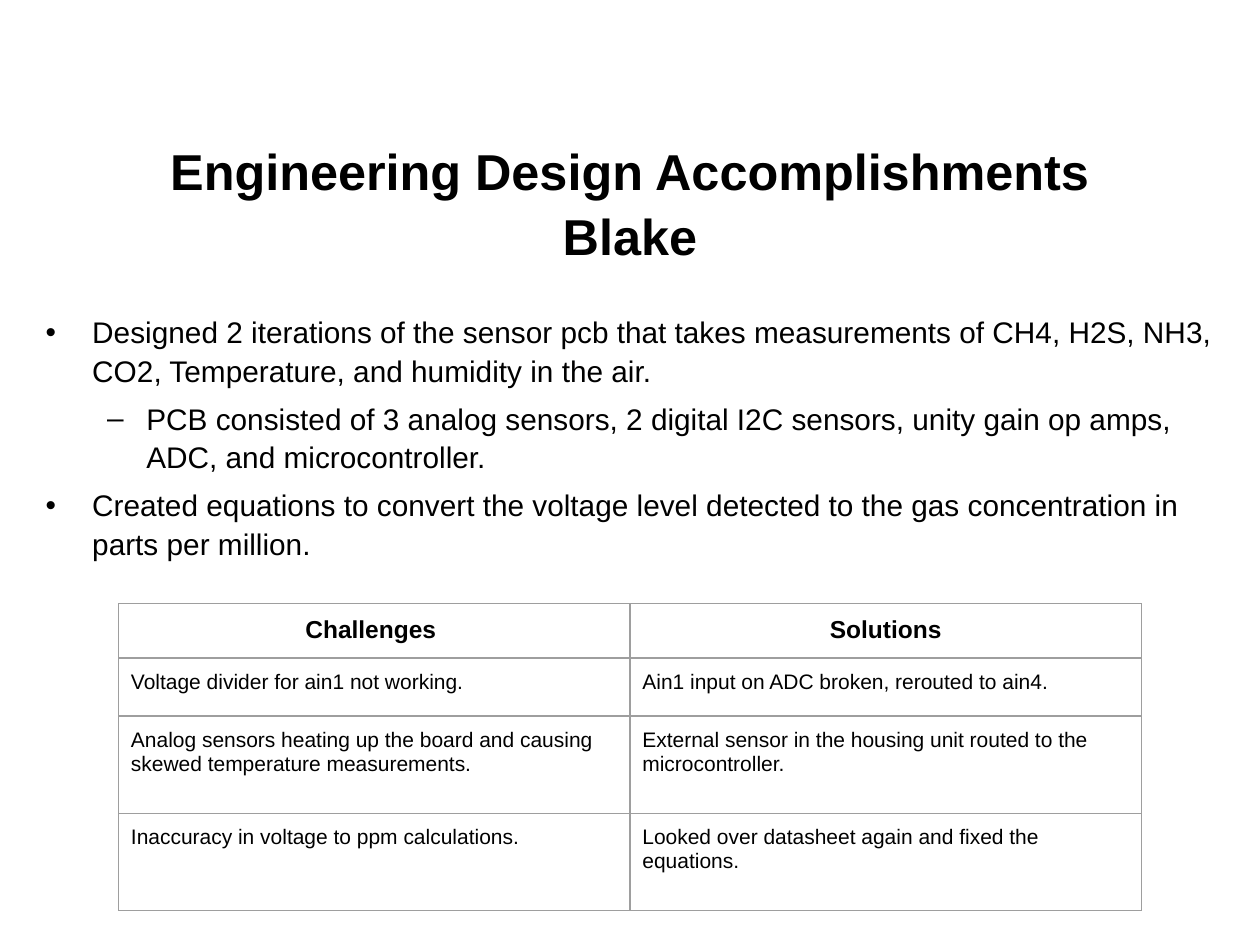
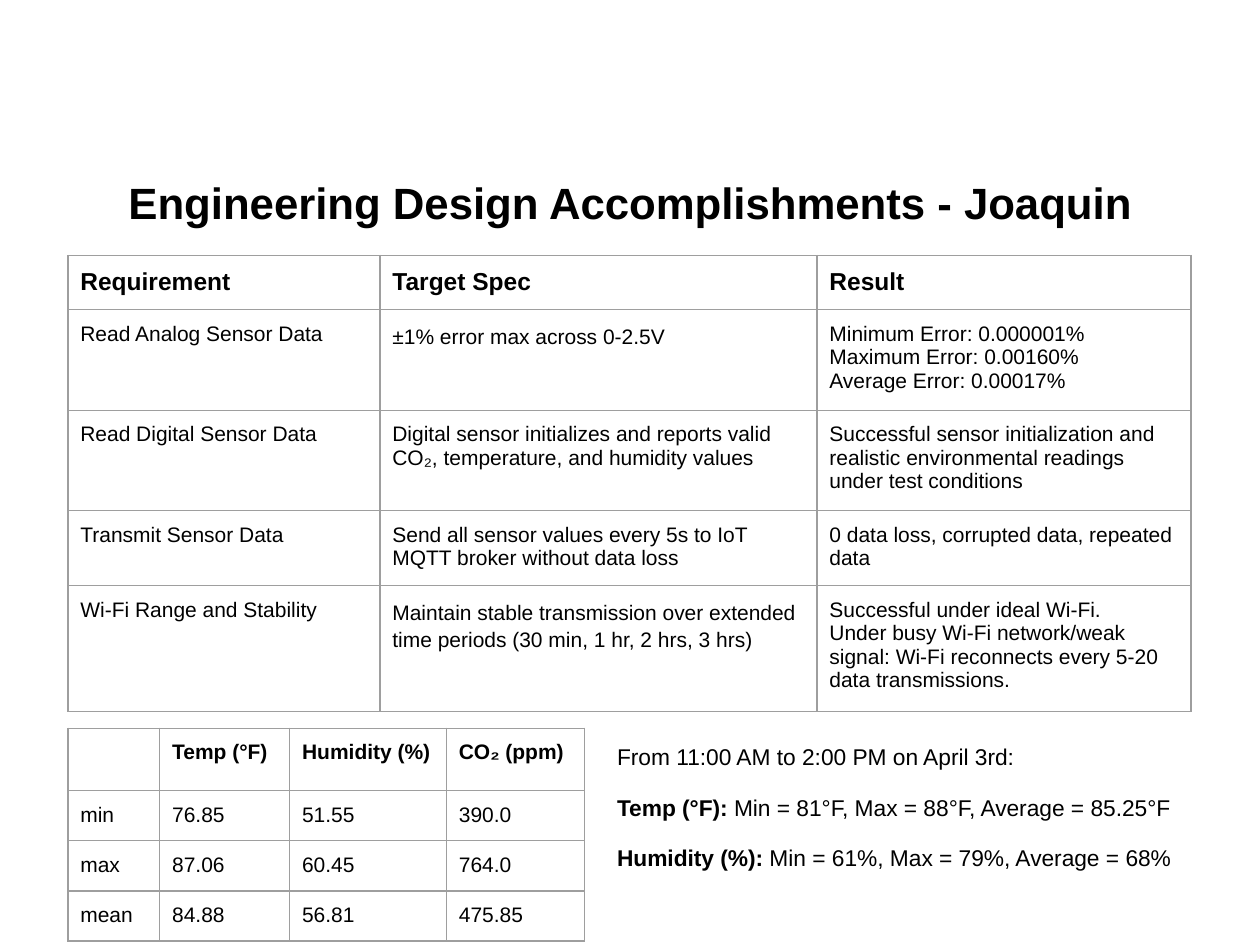
from lxml import etree
from pptx import Presentation
from pptx import util as u
from pptx.dml.color import RGBColor
from pptx.enum import text
from pptx.oxml import ns

Cm, Pt = u.Cm, u.Pt

# Shared style
INK = RGBColor(0x00, 0x00, 0x00)
GRID = RGBColor(0x9E, 0x9E, 0x9E)
FONT = "Arial"
INSET = Cm(0.25)
BODY_SPACING = 1.08
LEFT, CENTER = text.PP_ALIGN.LEFT, text.PP_ALIGN.CENTER

# Bullet levels: sign, left margin, hanging indent
BULLETS = [("•", Cm(0.97), Cm(-0.94)), ("–", Cm(2.06), Cm(-0.79))]

# Slide 1 content
DESIGN_POINTS = [
    (0, "Designed 2 iterations of the sensor pcb that takes measurements of "
        "CH4, H2S, NH3, CO2, Temperature, and humidity in the air."),
    (1, "PCB consisted of 3 analog sensors, 2 digital I2C sensors, unity gain "
        "op amps, ADC, and microcontroller."),
    (0, "Created equations to convert the voltage level detected to the gas "
        "concentration in parts per million."),
]
CHALLENGES = [
    ("Challenges ", "Solutions"),
    ("Voltage divider for ain1 not working.",
     "Ain1 input on ADC broken, rerouted to ain4."),
    ("Analog sensors heating up the board and causing skewed temperature "
     "measurements.",
     "External sensor in the housing unit routed to the microcontroller."),
    ("Inaccuracy in voltage to ppm calculations.",
     "Looked over datasheet again and fixed the equations."),
]

# Slide 2 content
REQUIREMENTS = [
    ("Requirement", "Target Spec", "Result"),
    ("Read Analog Sensor Data", "±1% error max across 0-2.5V",
     "Minimum Error: 0.000001%\nMaximum Error: 0.00160%\n"
     "Average Error: 0.00017%"),
    ("Read Digital Sensor Data",
     "Digital sensor initializes and reports valid CO₂, temperature, and "
     "humidity values",
     "Successful sensor initialization and realistic environmental readings "
     "under test conditions"),
    ("Transmit Sensor Data",
     "Send all sensor values every 5s to IoT MQTT broker without data loss",
     "0 data loss, corrupted data, repeated data"),
    ("Wi-Fi Range and Stability",
     "Maintain stable transmission over extended time periods "
     "(30 min, 1 hr, 2 hrs, 3 hrs)",
     "Successful under ideal Wi-Fi.\nUnder busy Wi-Fi network/weak signal: "
     "Wi-Fi reconnects every 5-20 data transmissions."),
]
READINGS = [
    ("", "Temp (°F)", "Humidity (%)", "CO₂ (ppm)"),
    ("min", "76.85", "51.55", "390.0"),
    ("max", "87.06", "60.45", "764.0"),
    ("mean", "84.88", "56.81", "475.85"),
]
APRIL_WEATHER = [
    [("From 11:00 AM to 2:00 PM on April 3rd:", False)],
    [("Temp (°F):", True),
     (" Min = 81°F, Max = 88°F, Average = 85.25°F", False)],
    [("Humidity (%):", True),
     (" Min = 61%, Max = 79%, Average = 68%", False)],
]


def set_all(target, values):
    for name, value in values.items():
        setattr(target, name, value)


def paragraphs(frame, count):
    """Yield the frame's first paragraph, then new ones."""
    for index in range(count):
        yield frame.paragraphs[0] if index == 0 else frame.add_paragraph()


def write(paragraph, runs, size, **layout):
    set_all(paragraph, layout)
    for words, bold in runs:
        run = paragraph.add_run()
        run.text = words
        set_all(run.font, {"name": FONT, "size": Pt(size), "bold": bold})
        run.font.color.rgb = INK


def add_frame(slide, box, margin_y=INSET, anchor=text.MSO_ANCHOR.TOP):
    frame = slide.shapes.add_textbox(*map(Cm, box)).text_frame
    set_all(frame, {"word_wrap": True, "vertical_anchor": anchor,
                    "margin_left": INSET, "margin_right": INSET,
                    "margin_top": margin_y, "margin_bottom": margin_y})
    return frame


def add_title(slide, lines, size):
    frame = add_frame(slide, (1.27, 2.92, 22.86, 2.24), Cm(0.13),
                      text.MSO_ANCHOR.MIDDLE)
    for paragraph, line in zip(paragraphs(frame, len(lines)), lines):
        write(paragraph, [(line, True)], size, alignment=CENTER,
              line_spacing=BODY_SPACING)


def add_bullet(paragraph, level):
    sign, margin, hanging = BULLETS[level]
    paragraph.level = level
    properties = paragraph._p.get_or_add_pPr()
    properties.set("marL", str(margin))
    properties.set("indent", str(hanging))
    color = etree.SubElement(properties, ns.qn("a:buClr"))
    etree.SubElement(color, ns.qn("a:srgbClr"), val=str(INK))
    etree.SubElement(properties, ns.qn("a:buFont"), typeface=FONT)
    etree.SubElement(properties, ns.qn("a:buChar"), char=sign)


def add_points(slide, box, points):
    frame = add_frame(slide, box)
    for paragraph, (level, words) in zip(paragraphs(frame, len(points)), points):
        add_bullet(paragraph, level)
        before = Pt(5.4) if paragraph is not frame.paragraphs[0] and level + 1 else None
        write(paragraph, [(words, False)], 17, line_spacing=BODY_SPACING,
              space_before=before)
    frame.paragraphs[0].space_before = Pt(0)


def add_notes_box(slide, box, lines):
    frame = add_frame(slide, box)
    for index, paragraph in enumerate(paragraphs(frame, len(lines))):
        write(paragraph, lines[index], 13, line_spacing=BODY_SPACING,
              space_before=Pt(12 if index else 0))


def outline_cell(cell):
    properties = cell._tc.get_or_add_tcPr()
    for index, side in enumerate(("lnL", "lnR", "lnT", "lnB")):
        line = etree.Element(ns.qn(f"a:{side}"), w=str(Pt(0.75)))
        fill = etree.SubElement(line, ns.qn("a:solidFill"))
        etree.SubElement(fill, ns.qn("a:srgbClr"), val=str(GRID))
        properties.insert(index, line)


def add_grid(slide, corner, widths, heights, rows, header_size=14,
             header_align=LEFT, loose_cells=()):
    """Draw a ruled table; loose_cells get wider line spacing."""
    box = (*corner, sum(widths), sum(heights))
    table = slide.shapes.add_table(len(rows), len(widths), *map(Cm, box)).table
    set_all(table, {"first_row": False, "horz_banding": False})
    for column, width in zip(table.columns, widths):
        column.width = Cm(width)
    for row, height in zip(table.rows, heights):
        row.height = Cm(height)
    for r, row in enumerate(rows):
        for c, words in enumerate(row):
            cell = table.cell(r, c)
            cell.fill.background()
            outline_cell(cell)
            set_all(cell, {f"margin_{side}": INSET for side in
                           ("left", "right", "top", "bottom")})
            if not words:
                continue
            lines = words.split("\n")
            for paragraph, line in zip(paragraphs(cell.text_frame, len(lines)),
                                       lines):
                write(paragraph, [(line, r == 0)], 12 if r else header_size,
                      alignment=LEFT if r else header_align,
                      line_spacing=1.15 if (r, c) in loose_cells else 1.0)


def build_blake(slide):
    add_title(slide, ["Engineering Design Accomplishments", "Blake"], 28.8)
    add_grid(slide, (2.39, 12.17), [10.31] * 2, [1.07, 1.17, 1.96, 1.96],
             CHALLENGES, header_align=CENTER)
    add_points(slide, (0.64, 6.02, 24.13, 5.26), DESIGN_POINTS)


def build_joaquin(slide):
    add_title(slide, ["Engineering Design Accomplishments - Joaquin"], 25)
    add_grid(slide, (1.37, 5.15), [6.29, 8.81, 7.54],
             [1.07, 1.93, 1.93, 1.45, 2.4], REQUIREMENTS,
             loose_cells={(1, 1), (4, 1)})
    add_grid(slide, (1.37, 14.68), [1.85, 2.62, 3.16, 2.78],
             [1.22] + [0.98] * 3, READINGS, header_size=12)
    add_notes_box(slide, (12.19, 14.68, 11.94, 3.05), APRIL_WEATHER)


def main():
    deck = Presentation()
    set_all(deck, {"slide_width": Cm(25.4), "slide_height": Cm(19.05)})
    blank = deck.slide_layouts[6]
    for build in (build_blake, build_joaquin):
        build(deck.slides.add_slide(blank))
    deck.save("out.pptx")


if __name__ == "__main__":
    main()
